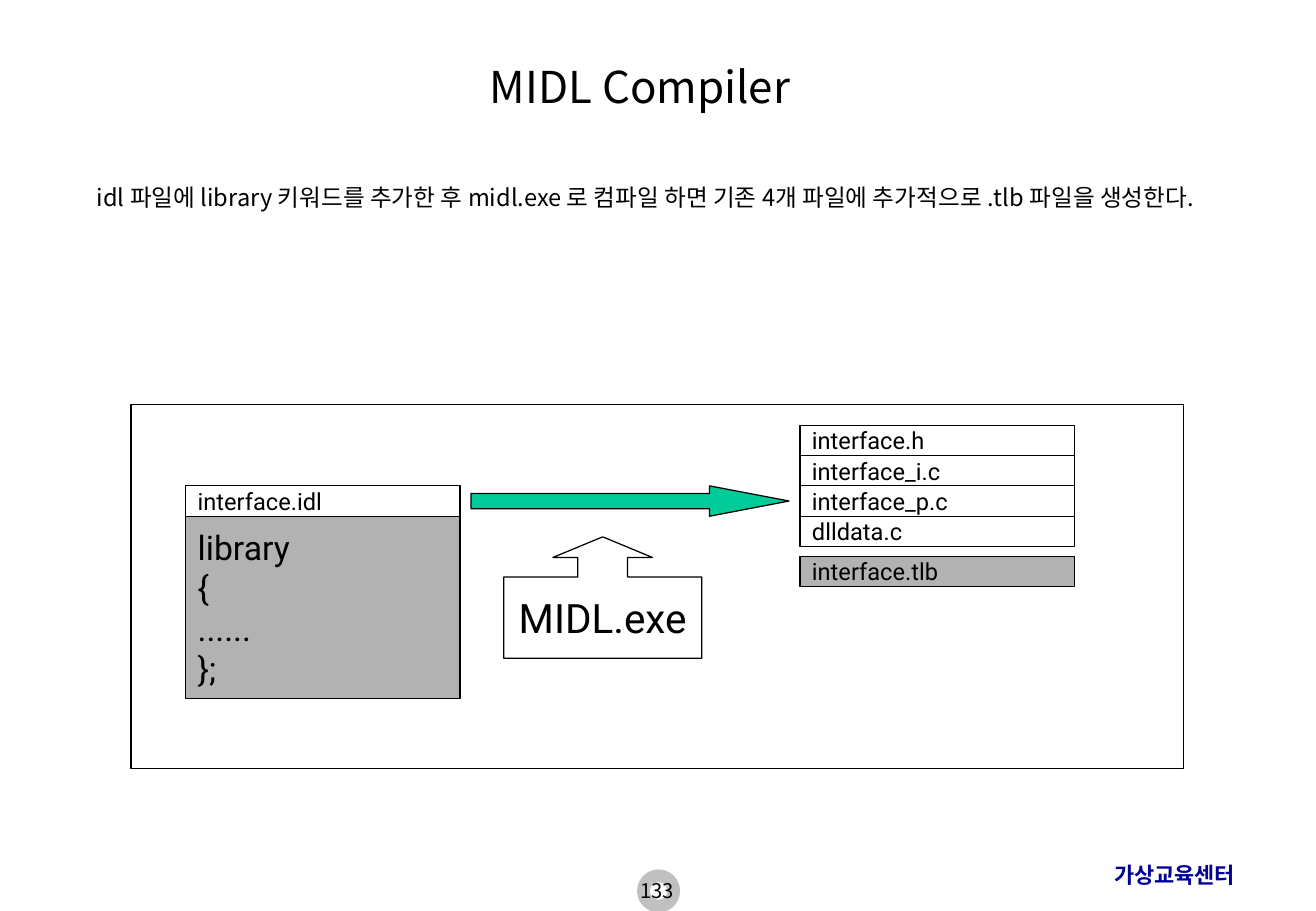
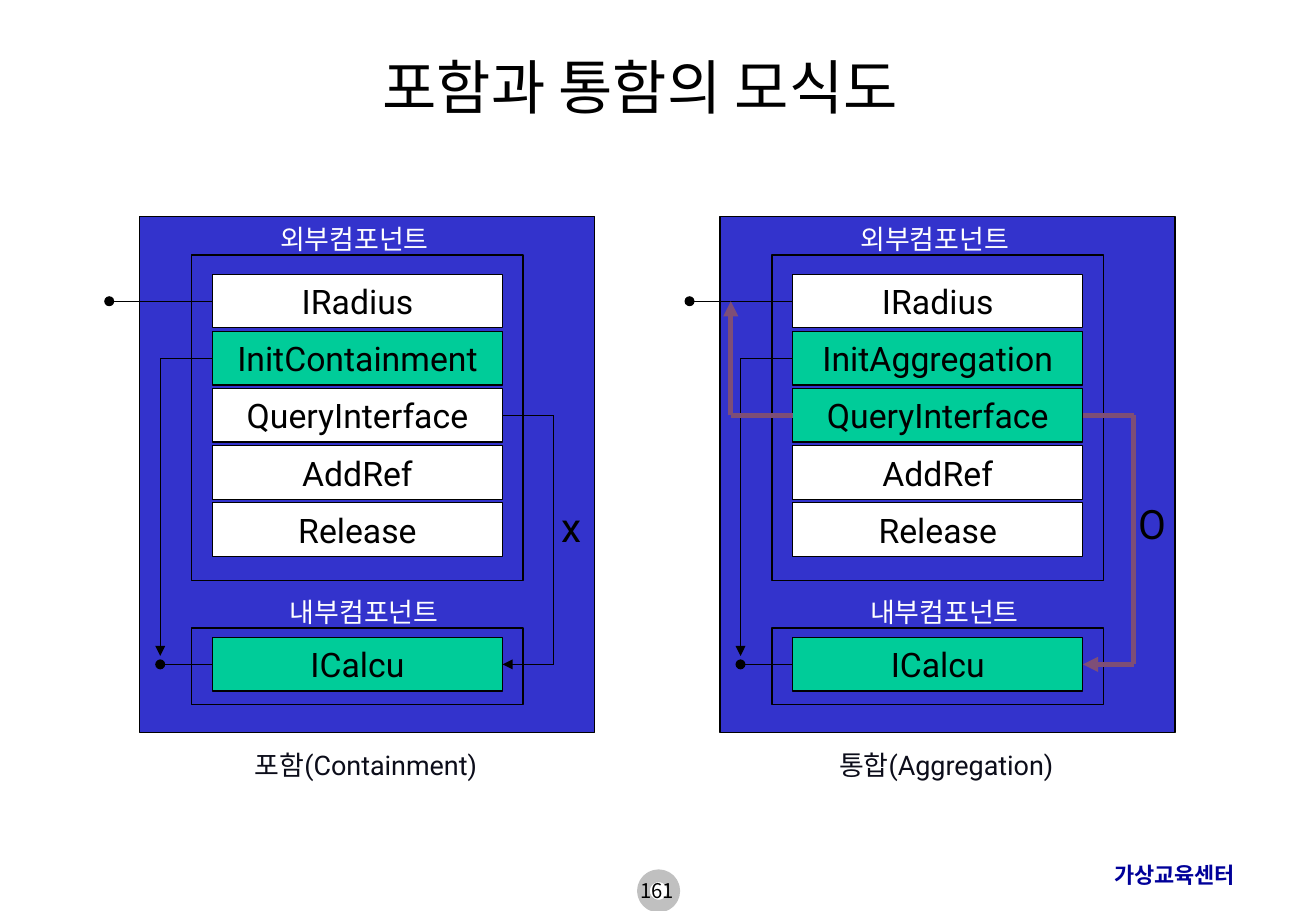
"""Build two slides: the MIDL compiler flow, and containment versus aggregation."""
from itertools import pairwise

from lxml import etree
from pptx import Presentation
from pptx.dml.color import RGBColor
from pptx.enum.shapes import MSO_CONNECTOR as Connector, MSO_SHAPE as Shape
from pptx.enum.text import MSO_ANCHOR as Anchor, MSO_AUTO_SIZE as AutoSize, PP_ALIGN as Align
from pptx.oxml.ns import qn
from pptx.util import Inches, Pt

BLACK, WHITE, GRAY, GREEN = "000000", "FFFFFF", "B2B2B2", "00CC99"
BLUE, NAVY, SILVER, MAUVE, INK = "3333CC", "000099", "C0C0C0", "7E4E77", "0C0D1A"
LATIN, KOREAN = "Roboto", "Noto Sans CJK KR"
FOOTER = "가상교육센터"

COMPILER = {
    "title": "MIDL Compiler", "size": 26, "page": "133",
    "body": "idl 파일에 library 키워드를 추가한 후 midl.exe 로 컴파일 하면 기존 4개 파일에 "
            "추가적으로 .tlb 파일을 생성한다.",
    "source": "interface.idl",
    "code": ["library", "{", "......", "};"],
    "outputs": ["interface.h", "interface_i.c", "interface_p.c", "dlldata.c"],
    "library": "interface.tlb",
    "tool": "MIDL.exe",
}
MODELS = {
    "title": "포함과 통함의 모식도", "size": 35, "page": "161",
    "outer": "외부컴포넌트", "inner": "내부컴포넌트", "target": "ICalcu",
    "panels": [
        {"left": 1.15, "caption": "포함(Containment)", "mark": "x", "mark_at": (3.37, 4.08, 0.37, 0.5),
         "rows": ["IRadius", "InitContainment", "QueryInterface", "AddRef", "Release"],
         "green": ["InitContainment"], "query": (BLACK, 0.75), "delegates": False},
        {"left": 5.93, "caption": "통합(Aggregation)", "mark": "O", "mark_at": (3.33, 4.06, 0.46, 0.5),
         "rows": ["IRadius", "InitAggregation", "QueryInterface", "AddRef", "Release"],
         "green": ["InitAggregation", "QueryInterface"], "query": (MAUVE, 3), "delegates": True},
    ],
}


def color(value):
    return RGBColor.from_string(value)


def write(frame, text, size=14, font=LATIN, ink=BLACK, bold=False, align=Align.LEFT,
          anchor=Anchor.MIDDLE, wrap=True, spacing=None):
    frame.auto_size = AutoSize.NONE
    frame.word_wrap = wrap
    frame.vertical_anchor = anchor
    lines = [text] if isinstance(text, str) else text
    for index, line in enumerate(lines):
        para = frame.add_paragraph() if index else frame.paragraphs[0]
        para.alignment = align
        if spacing:
            para.line_spacing = spacing
        span = para.add_run()
        span.text = line
        span.font.name, span.font.size, span.font.bold = font, Pt(size), bold
        span.font.color.rgb = color(ink)
        etree.SubElement(span.font._element, qn("a:ea"), typeface=KOREAN)


def add_label(slide, text, area, **style):
    box = slide.shapes.add_textbox(*map(Inches, area))
    write(box.text_frame, text, **{"anchor": Anchor.TOP, **style})
    return box


def add_box(slide, area, kind=Shape.RECTANGLE, fill=None, line=BLACK, width=0.75,
            adjust=(), text=None, **style):
    box = slide.shapes.add_shape(kind, *map(Inches, area))
    box.shadow.inherit = False
    if fill:
        box.fill.solid()
        box.fill.fore_color.rgb = color(fill)
    else:
        box.fill.background()
    box.line.color.rgb = color(line)
    box.line.width = Pt(width)
    for index, value in enumerate(adjust):
        box.adjustments[index] = value
    if text:
        write(box.text_frame, text, **style)


def add_route(slide, points, end=None, ink=BLACK, width=0.75):
    for start, stop in pairwise(points):
        line = slide.shapes.add_connector(Connector.STRAIGHT, *map(Inches, start + stop))
        line.line.color.rgb = color(ink)
        line.line.width = Pt(width)
        if end and stop == points[-1]:
            etree.SubElement(line.line._get_or_add_ln(), qn("a:tailEnd"), type=end)
        etree.SubElement(line._element.spPr, qn("a:effectLst"))


def add_page(deck, content):
    slide = deck.slides.add_slide(deck.slide_layouts[5])
    add_box(slide, (5.3, 7.21, 0.25, 0.25), Shape.OVAL, fill=WHITE, line=SILVER, width=7.5)
    add_label(slide, FOOTER, (9.08, 7.04, 1.54, 0.32), size=13, font="Arial", ink=NAVY, bold=True)
    add_label(slide, content["page"], (4.15, 7.18, 2.53, 0.32), size=12, font=KOREAN,
              align=Align.CENTER)
    title = slide.shapes.title
    title.left, title.top, title.width, title.height = map(Inches, (0.67, 0.17, 9.21, 1.08))
    write(title.text_frame, content["title"], size=content["size"], font=KOREAN, align=Align.CENTER)
    return slide


def build_compiler(deck):
    slide = add_page(deck, COMPILER)
    body = add_label(slide, COMPILER["body"], (0.66, 1.5, 9.3, 1.88), font=KOREAN, spacing=0.82)
    properties = body.text_frame.paragraphs[0]._p.get_or_add_pPr()
    properties.set("marL", str(Inches(0.38)))
    properties.set("indent", str(Inches(-0.34)))

    source_left, output_left, width, row = 1.53, 6.59, 2.26, 0.25
    add_box(slide, (1.08, 3.33, 8.67, 3), fill=WHITE)
    add_box(slide, (source_left, 4, width, row), text=COMPILER["source"])
    add_box(slide, (source_left, 4 + row, width, 1.5), fill=GRAY, text=COMPILER["code"], size=20)
    for index, name in enumerate(COMPILER["outputs"]):
        add_box(slide, (output_left, 3.5 + index * row, width, row), text=name)
    add_box(slide, (output_left, 4.58, width, row), fill=GRAY, text=COMPILER["library"])
    add_box(slide, (3.88, 4, 2.62, row), Shape.RIGHT_ARROW, fill=GREEN, adjust=(0.5, 2.62))
    add_box(slide, (4.15, 4.42, 1.63, 1), Shape.UP_ARROW_CALLOUT, fill=WHITE,
            adjust=(0.41, 0.41, 0.17, 0.67), text=COMPILER["tool"], size=24,
            align=Align.CENTER, wrap=False)


def add_panel(slide, panel):
    left = panel["left"]
    row_left, row_right, row_width, row_height = left + 0.6, left + 2.99, 2.39, 0.44
    row_top, pitch, target_top = 2.26, 0.47, 5.25
    radius, init, query = (row_top + index * pitch + row_height / 2 for index in range(3))
    target = target_top + row_height / 2
    init_x, query_x, delegate_x = left + 0.17, left + 3.41, left + 0.09
    centred = {"align": Align.CENTER, "wrap": False}

    add_box(slide, (left, 1.78, 3.75, 4.25), fill=BLUE)
    for top, height in ((2.1, 2.68), (5.17, 0.63)):
        add_box(slide, (left + 0.43, top, 2.73, height))
    rows = [(name, row_top + index * pitch) for index, name in enumerate(panel["rows"])]
    for name, top in rows + [(MODELS["target"], target_top)]:
        green = name in panel["green"] or name == MODELS["target"]
        add_box(slide, (row_left, top, row_width, row_height), fill=GREEN if green else WHITE,
                text=name, size=20, align=Align.CENTER)
    add_label(slide, MODELS["outer"], (left + 1.06, 1.78, 1.42, 0.37), size=16, ink=WHITE, **centred)
    add_label(slide, MODELS["inner"], (left + 1.14, 4.85, 1.42, 0.37), size=16, ink=WHITE, **centred)
    add_label(slide, panel["caption"], (left + 0.8, 6.11, 2.13, 0.37), size=16, ink=INK, **centred)

    add_route(slide, [(row_left, target), (init_x, target)], "oval")
    add_route(slide, [(row_left, radius), (left - 0.25, radius)], "oval")
    add_route(slide, [(row_left, init), (init_x, init), (init_x, 5.4)], "triangle")
    ink, width = panel["query"]
    add_route(slide, [(row_right, query), (query_x, query), (query_x, target), (row_right, target)],
              "triangle", ink, width)
    if panel["delegates"]:
        add_route(slide, [(row_left, query), (delegate_x, query), (delegate_x, radius)],
                  "triangle", ink, width)
    offset, *rest = panel["mark_at"]
    add_label(slide, panel["mark"], (left + offset, *rest), size=24, **centred)


def build_models(deck):
    slide = add_page(deck, MODELS)
    for panel in MODELS["panels"]:
        add_panel(slide, panel)


def main():
    deck = Presentation()
    deck.slide_width, deck.slide_height = Inches(10.84), Inches(7.5)
    build_compiler(deck)
    build_models(deck)
    deck.save("out.pptx")


if __name__ == "__main__":
    main()
